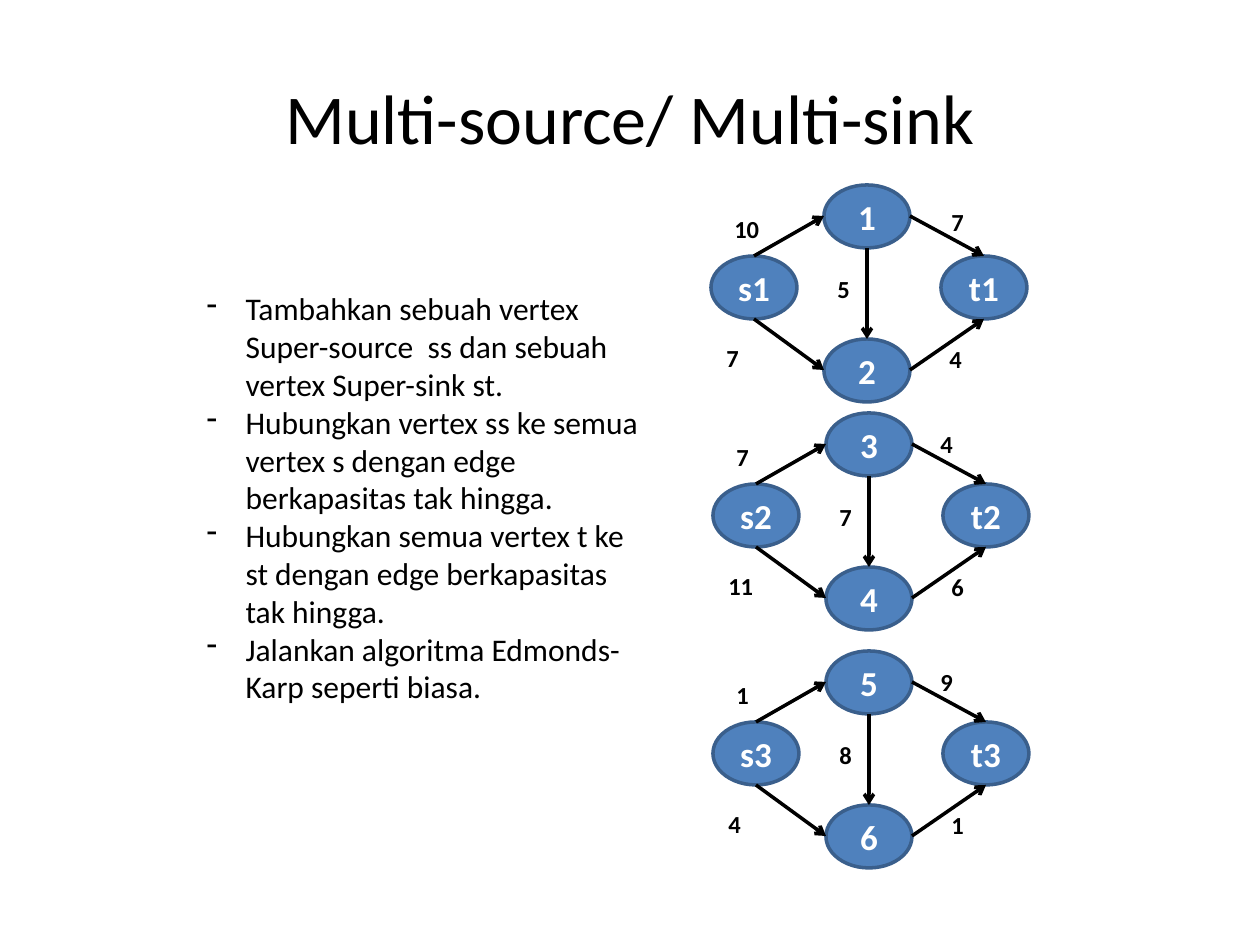
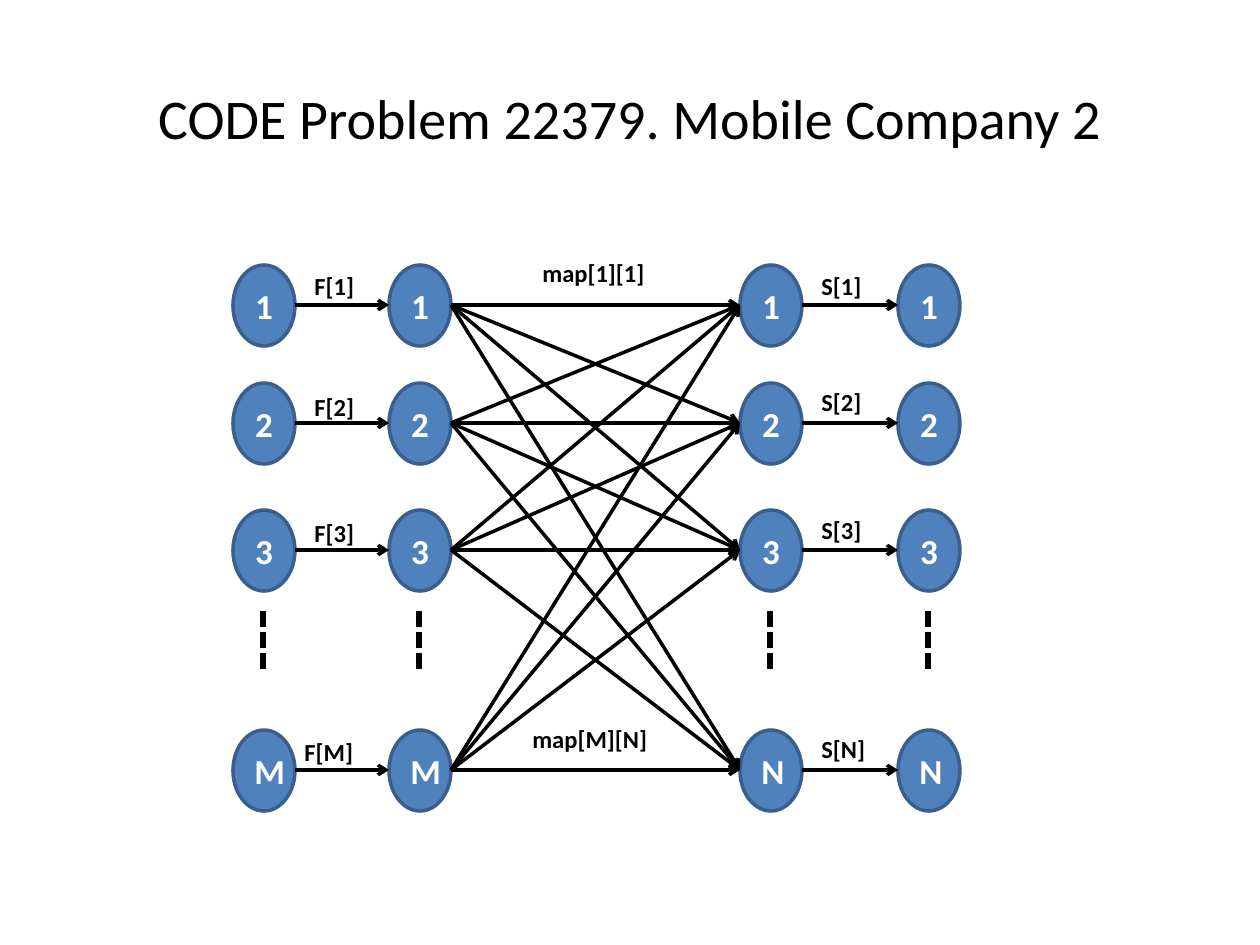
from lxml.etree import SubElement
from pptx import Presentation
from pptx.dml.color import RGBColor
from pptx.enum.dml import MSO_LINE
from pptx.enum.shapes import MSO_CONNECTOR, MSO_SHAPE
from pptx.enum.text import MSO_ANCHOR, MSO_AUTO_SIZE, PP_ALIGN
from pptx.oxml.ns import qn
from pptx.util import Inches, Pt

PIXEL = 7257  # EMU in one pixel, 126 pixels to the inch
FONT = "Calibri"
BLACK = RGBColor(0x00, 0x00, 0x00)
WHITE = RGBColor(0xFF, 0xFF, 0xFF)
NODE_FILL = RGBColor(0x4F, 0x81, 0xBD)
NODE_LINE = RGBColor(0x3A, 0x5F, 0x8C)
TITLE_AREA = (63, 38, 1134, 158)
LIST_AREA = (194, 283, 460, 432)
LABEL_HEIGHT = 43


def write(box, *lines, size, color=BLACK, bold=False, align=PP_ALIGN.LEFT,
          anchor=MSO_ANCHOR.TOP, bullet=None):
    """Fill a box with one paragraph per line; a bullet gives a hanging indent."""
    frame = box.text_frame
    frame.word_wrap = True
    frame.auto_size = MSO_AUTO_SIZE.NONE
    frame.vertical_anchor = anchor
    for index, line in enumerate(lines):
        para = frame.add_paragraph() if index else frame.paragraphs[0]
        para.alignment = align
        para.space_before = Pt(0)
        span = para.add_run()
        span.text = line
        span.font.name = FONT
        span.font.size = Pt(size)
        span.font.bold = bold
        span.font.color.rgb = color
        if bullet:
            properties = para._p.get_or_add_pPr()
            properties.set("marL", str(39 * PIXEL))
            properties.set("indent", str(-39 * PIXEL))
            SubElement(properties, qn("a:buFontTx"))
            SubElement(properties, qn("a:buChar"), char=bullet)


def connect(page, start, end, width=2, dash=None):
    """Draw an arrow, or a plain dashed line when a dash is given."""
    link = page.shapes.add_connector(
        MSO_CONNECTOR.STRAIGHT, *(value * PIXEL for value in (*start, *end)))
    link.line.color.rgb = BLACK
    link.line.width = Pt(width)
    properties = link._element.spPr
    if dash:
        link.line.dash_style = dash
    else:
        SubElement(properties.find(qn("a:ln")), qn("a:tailEnd"), type="arrow")
    SubElement(properties, qn("a:effectLst"))


# Multi-source graph: three diamonds of four vertices
diamond_nodes, diamond_links, diamond_labels = [], [], []
node_width, node_height = 86, 63
# origin, vertices (source, upper, lower, sink), capacities, place of upper right label
diamonds = [
    (711, 185, ("s1", "1", "2", "t1"), ("10", "7", "5", "7", "4"), (228, 16)),
    (713, 413, ("s2", "3", "4", "t2"), ("7", "4", "7", "11", "6"), (215, 10)),
    (713, 651, ("s3", "5", "6", "t3"), ("1", "9", "8", "4", "1"), (215, 10)),
]
for left, top, names, capacities, upper_right in diamonds:
    corners = [(left, top + 71), (left + 113, top),
               (left + 113, top + 154), (left + 230, top + 71)]
    for name, (x, y) in zip(names, corners):
        diamond_nodes.append((name, x, y, node_width, node_height))

    source, upper, lower, sink = [
        {"top": (x + node_width // 2, y),
         "bottom": (x + node_width // 2, y + node_height),
         "left": (x, y + node_height // 2),
         "right": (x + node_width, y + node_height // 2)}
        for x, y in corners]
    diamond_links += [
        (source["top"], upper["left"]), (source["bottom"], lower["left"]),
        (upper["bottom"], lower["top"]),
        (upper["right"], sink["top"]), (lower["right"], sink["bottom"])]

    places = [(11, 23), upper_right, (114, 83), (3, 152), (226, 153)]
    for capacity, (x, y) in zip(capacities, places):
        diamond_labels.append((capacity, left + x, top + y, 100))

# Mobile company graph: four columns of four vertices
company_nodes, company_links = [], []
oval_width, oval_height = 62, 81
columns = [233, 389, 740, 898]
rows = [265, 383, 510, 730]
middles = [top + oval_height // 2 for top in rows]
for column, left in enumerate(columns):
    last = "M" if column < 2 else "N"
    for name, top in zip(("1", "2", "3", last), rows):
        company_nodes.append((name, left, top, oval_width, oval_height))

first, second, third, fourth = columns
for start in middles:
    company_links.append(((first + oval_width, start), (second, start)))
    company_links.append(((third + oval_width, start), (fourth, start)))
    for end in middles:
        company_links.append(((second + oval_width, start), (third, end)))

company_labels = [
    ("F[1]", 302, 265, 72), ("F[2]", 302, 386, 72),
    ("F[3]", 302, 512, 72), ("F[M]", 292, 731, 89),
    ("S[1]", 809, 265, 72), ("S[2]", 809, 381, 72),
    ("S[3]", 809, 509, 72), ("S[N]", 809, 728, 72),
    ("map[1][1]", 530, 252, 139), ("map[M][N]", 520, 718, 149),
]

# Slides: title, vertices, arrows and labels
deck = Presentation()
deck.slide_width, deck.slide_height = Inches(10), Inches(7.5)
list_page = deck.slides.add_slide(deck.slide_layouts[1])
company_page = deck.slides.add_slide(deck.slide_layouts[5])
graphs = [
    (list_page, "Multi-source/ Multi-sink", 40,
     diamond_nodes, diamond_links, diamond_labels),
    (company_page, "CODE Problem 22379. Mobile Company 2", 32,
     company_nodes, company_links, company_labels),
]
for page, title, title_size, nodes, links, labels in graphs:
    heading = page.shapes.title
    heading.left, heading.top, heading.width, heading.height = (
        value * PIXEL for value in TITLE_AREA)
    write(heading, title, size=title_size, align=PP_ALIGN.CENTER,
          anchor=MSO_ANCHOR.MIDDLE)
    for name, *area in nodes:
        node = page.shapes.add_shape(
            MSO_SHAPE.OVAL, *(value * PIXEL for value in area))
        node.shadow.inherit = False
        node.fill.solid()
        node.fill.fore_color.rgb = NODE_FILL
        node.line.color.rgb = NODE_LINE
        node.line.width = Pt(2)
        write(node, name, size=20, color=WHITE, bold=True,
              align=PP_ALIGN.CENTER, anchor=MSO_ANCHOR.MIDDLE)
    for start, end in links:
        connect(page, start, end)
    for text, *area in labels:
        label = page.shapes.add_textbox(
            *(value * PIXEL for value in (*area, LABEL_HEIGHT)))
        write(label, text, size=14, bold=True)

# Steps beside the diamonds
steps = list_page.placeholders[1]
steps.left, steps.top, steps.width, steps.height = (
    value * PIXEL for value in LIST_AREA)
write(steps,
      "Tambahkan sebuah vertex Super-source  ss dan sebuah vertex Super-sink st.",
      "Hubungkan vertex ss ke semua vertex s dengan edge berkapasitas tak hingga.",
      "Hubungkan semua vertex t ke st dengan edge berkapasitas tak hingga.",
      "Jalankan algoritma Edmonds-Karp seperti biasa.",
      size=18, bullet="-")

# Dashes for the vertices left out of each column
for left in columns:
    x = left + oval_width // 2 - 1
    connect(company_page, (x, 611), (x, 670), width=3, dash=MSO_LINE.SQUARE_DOT)

deck.save("out.pptx")
